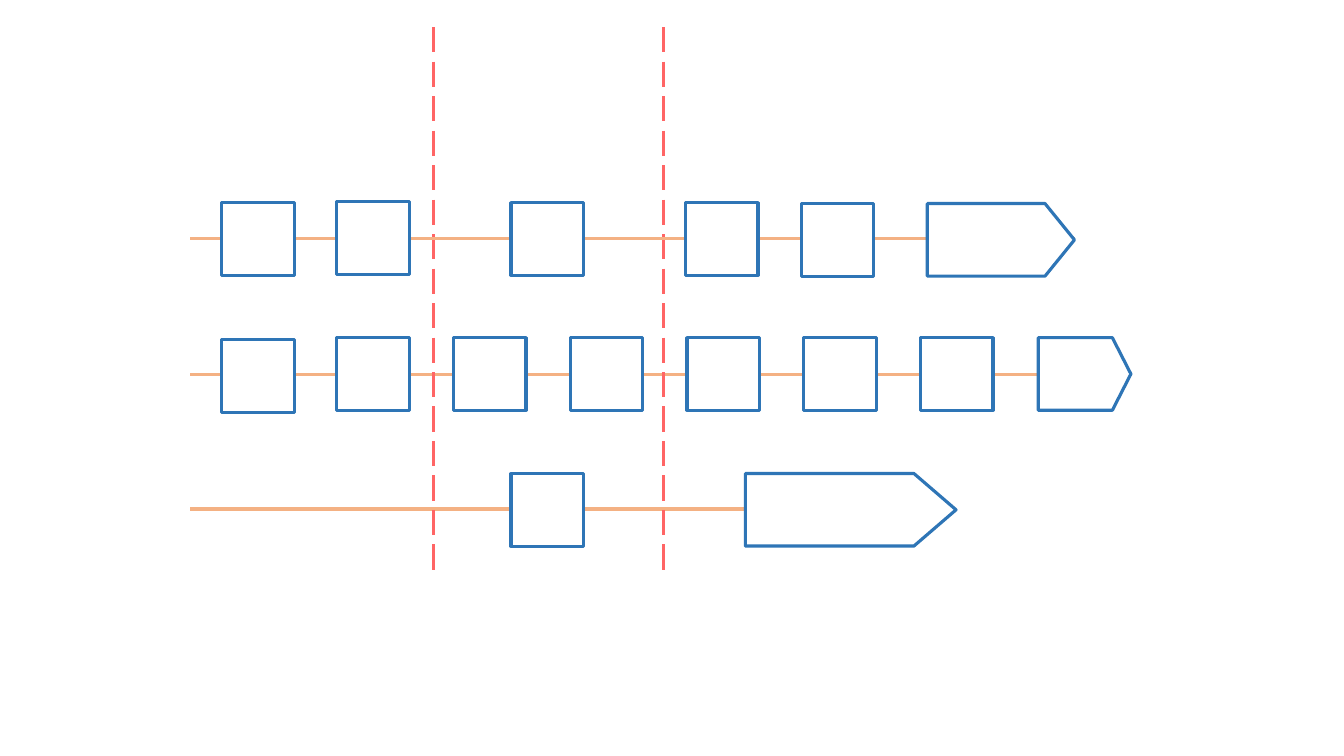
from lxml import etree
from pptx import Presentation
from pptx.dml.color import RGBColor
from pptx.enum.dml import MSO_LINE
from pptx.enum.shapes import MSO_CONNECTOR, MSO_SHAPE
from pptx.oxml.ns import qn
from pptx.util import Pt

WHITE, BLUE, ORANGE, RED = "FFFFFF", "2E75B6", "F4B183", "FF6565"
SIDE = 51.84
TRACK_LEFT, TRACK_RIGHT = 136, 768
STEP_PITCH = 83.4


def set_line(line, color):
    line.color.rgb = RGBColor.from_string(color)
    line.width = Pt(2.25)


def add_line(slide, start, end, color, dash=None):
    connector = slide.shapes.add_connector(
        MSO_CONNECTOR.STRAIGHT, *[Pt(value) for value in (*start, *end)])
    set_line(connector.line, color)
    if dash is not None:
        connector.line.dash_style = dash
    etree.SubElement(connector._element.spPr, qn("a:effectLst"))


def add_outlined(slide, kind, left, top, width, height):
    shape = slide.shapes.add_shape(kind, Pt(left), Pt(top), Pt(width), Pt(height))
    shape.shadow.inherit = False
    shape.fill.solid()
    shape.fill.fore_color.rgb = RGBColor.from_string(WHITE)
    set_line(shape.line, BLUE)
    return shape


def add_pointer(slide, left, top, length):
    """Add a tag pointing right, made from a shape that points down."""
    shift = (length - SIDE) / 2
    pointer = add_outlined(slide, MSO_SHAPE.FLOWCHART_OFFPAGE_CONNECTOR,
                           left + shift, top - shift, SIDE, length)
    pointer.rotation = 270


def add_track(slide, line_y, line_end, boxes, pointer):
    add_line(slide, (TRACK_LEFT, line_y), (line_end, line_y), ORANGE)
    for left, top in boxes:
        add_outlined(slide, MSO_SHAPE.RECTANGLE, left, top, SIDE, SIDE)
    add_pointer(slide, *pointer)


def main():
    presentation = Presentation()
    presentation.slide_width, presentation.slide_height = Pt(960), Pt(540)
    slide = presentation.slides.add_slide(presentation.slide_layouts[6])

    # Middle track: evenly spaced steps after the first
    steps = [(240.5 + STEP_PITCH * index, 241.2) for index in range(6)]
    add_track(slide, 267.8, TRACK_RIGHT, [(158.4, 242.6)] + steps,
              (741.6, 241.2, 66.2))

    # Bottom track
    add_track(slide, 363.6, 532.2, [(365, 338.4)], (532.4, 338.2, 150.5))

    # Dashed dividers
    for divider_x in (309.6, 473.8):
        add_line(slide, (divider_x, 19.4), (divider_x, 412.6), RED,
                 MSO_LINE.LONG_DASH)

    # Top track, in front of the dividers
    add_track(slide, 170.6, TRACK_RIGHT,
              [(158.4, 144.7), (240.5, 144), (365, 144.7),
               (489.6, 144.7), (572.4, 145.4)],
              (662.4, 145.4, 105.1))

    presentation.save("out.pptx")


if __name__ == "__main__":
    main()
